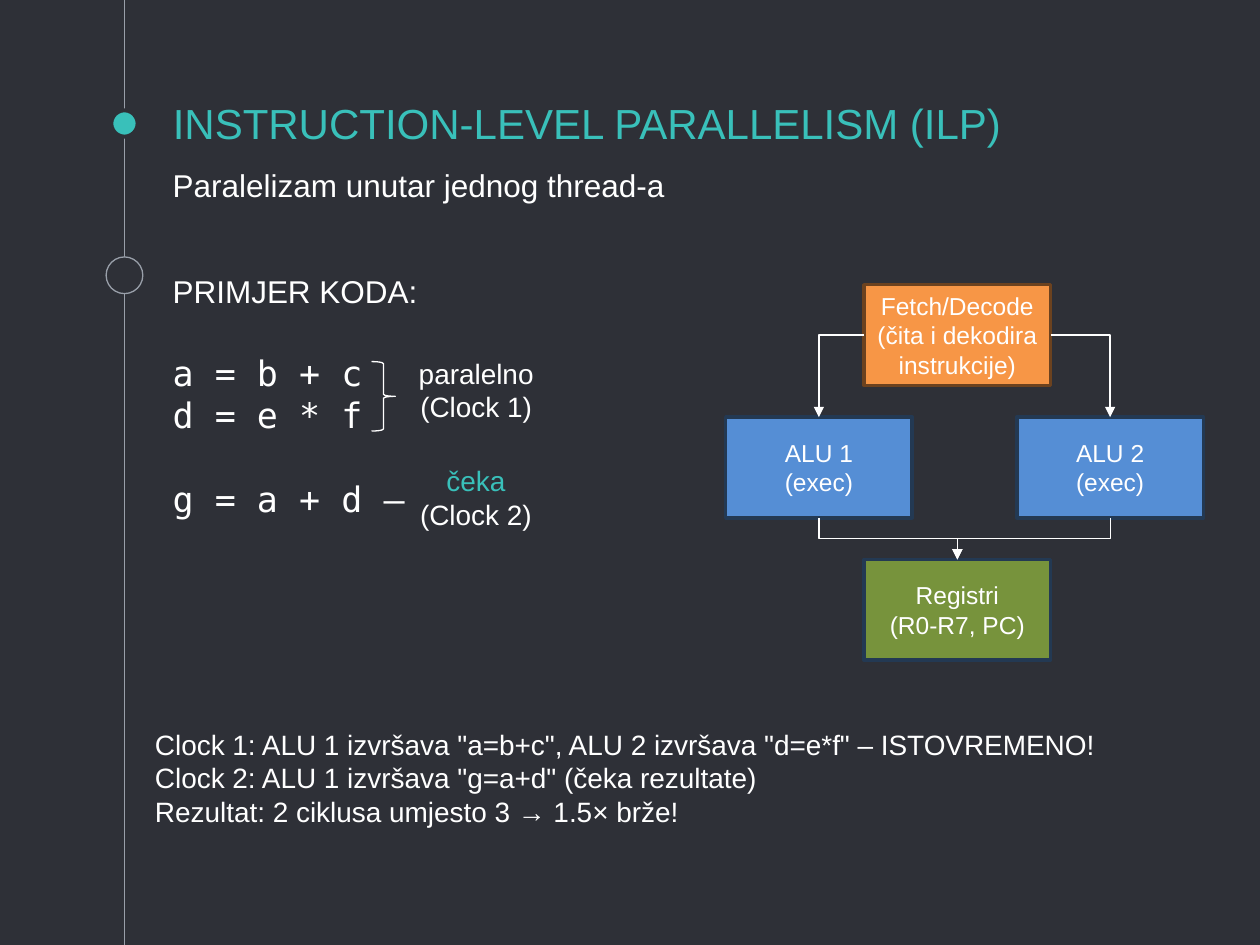
from dataclasses import dataclass

from lxml import etree
from pptx import Presentation
from pptx import util as u
from pptx.dml.color import RGBColor
from pptx.enum import shapes, text
from pptx.oxml.ns import qn

SHAPE = shapes.MSO_SHAPE
LINK = shapes.MSO_CONNECTOR
ALIGN = text.PP_ALIGN
ANCHOR = text.MSO_ANCHOR


@dataclass(frozen=True)
class Theme:
    back: str = "2E3037"
    teal: str = "39C0BA"
    grey: str = "999FA9"
    white: str = "FFFFFF"
    orange: str = "F79646"
    brown: str = "6C421F"
    blue: str = "558ED5"
    navy: str = "233953"
    green: str = "77933C"
    sans: str = "Arial"
    mono: str = "DejaVu Sans Mono"
    title: int = 24
    code: int = 20
    head: int = 18
    body: int = 16
    label: int = 14
    thin: float = 0.75
    edge: float = 2


def rgb(code):
    return RGBColor.from_string(code)


class Deck:
    def __init__(self, theme):
        self.theme = theme
        self.prs = Presentation()
        self.prs.slide_width, self.prs.slide_height = u.Cm(25.4), u.Cm(19.05)
        self.slide = self.prs.slides.add_slide(self.prs.slide_layouts[1])
        fill = self.slide.background.fill
        fill.solid()
        fill.fore_color.rgb = rgb(theme.back)

    def style(self, para, size, color=None, face=None, align=ALIGN.LEFT):
        para.alignment = align
        font = para.font
        font.size = u.Pt(size)
        font.name = face or self.theme.sans
        font.color.rgb = rgb(color or self.theme.white)

    def fill_text(self, frame, lines, size, align=ALIGN.LEFT):
        frame.text = "\n".join(lines)
        for para in frame.paragraphs:
            self.style(para, size, align=align)

    def place(self, item, box):
        item.left, item.top, item.width, item.height = map(u.Cm, box)

    def title(self, words, box):
        item = self.slide.shapes.title
        self.place(item, box)
        frame = item.text_frame
        frame.auto_size = text.MSO_AUTO_SIZE.NONE
        frame.vertical_anchor = ANCHOR.BOTTOM
        frame.margin_top = frame.margin_bottom = u.Cm(0.25)
        frame.text = words
        self.style(frame.paragraphs[0], self.theme.title, self.theme.teal)

    def list(self, lines, box):
        """Fill the body placeholder with plain lines, without bullets."""
        item = self.slide.placeholders[1]
        self.place(item, box)
        frame = item.text_frame
        frame.auto_size = text.MSO_AUTO_SIZE.NONE
        frame.text = "\n".join(lines)
        for para in frame.paragraphs:
            props = para._p.get_or_add_pPr()
            props.set("marL", "0")
            props.set("indent", "0")
            etree.SubElement(props, qn("a:buNone"))
            para.space_before = u.Pt(0)
            self.style(para, self.theme.body)

    def text(self, lines, box, size, align=ALIGN.LEFT, wrap=False):
        frame = self.slide.shapes.add_textbox(*map(u.Cm, box)).text_frame
        frame.word_wrap = wrap
        self.fill_text(frame, lines, size, align)
        return frame.paragraphs

    def shape(self, kind, box, fill, line, width):
        item = self.slide.shapes.add_shape(kind, *map(u.Cm, box))
        item.shadow.inherit = False
        if fill:
            item.fill.solid()
            item.fill.fore_color.rgb = rgb(fill)
        else:
            item.fill.background()
        item.line.color.rgb = rgb(line)
        item.line.width = u.Pt(width)
        return item

    def dot(self, x, y, size, fill, line, width):
        box = (x - size / 2, y - size / 2, size, size)
        self.shape(SHAPE.OVAL, box, fill, line, width)

    def block(self, lines, x, y, fill, line):
        item = self.shape(SHAPE.RECTANGLE, (x, y, 3.76, 2.03), fill, line,
                          self.theme.edge)
        item.text_frame.word_wrap = True
        item.text_frame.vertical_anchor = ANCHOR.MIDDLE
        self.fill_text(item.text_frame, lines, self.theme.label, ALIGN.CENTER)
        return item

    def line(self, kind, color, ends=(0, 0, 0, 0)):
        item = self.slide.shapes.add_connector(kind, *map(u.Cm, ends))
        item.line.color.rgb = rgb(color)
        item.line.width = u.Pt(self.theme.thin)
        etree.SubElement(item._element.spPr, qn("a:effectLst"))
        return item

    def arrow(self, start, side, end):
        """Join a side of start to the top of end with a bent arrow."""
        item = self.line(LINK.ELBOW, self.theme.white)
        item.begin_connect(start, side)
        item.end_connect(end, 0)
        props = item._element.spPr
        if side == 2:
            self.turn(item)
        else:
            props.find(qn("a:prstGeom")).set("prst", "bentConnector2")
        etree.SubElement(props.find(qn("a:ln")), qn("a:tailEnd"),
                         type="triangle")

    def turn(self, item):
        """Rotate an elbow a quarter turn so that it leaves downwards."""
        x, y = item.begin_x, item.begin_y
        wide, high = item.end_x - x, item.end_y - y
        mid, level = x + wide // 2, y + high // 2
        item.begin_x, item.begin_y = mid - high // 2, level + wide // 2
        item.end_x, item.end_y = mid + high // 2, level - wide // 2
        item._element.spPr.find(qn("a:xfrm")).set("rot", "5400000")


def main():
    t = Theme()
    deck = Deck(t)

    rail = 2.51
    deck.line(LINK.STRAIGHT, t.grey, (rail, 0, rail, 19.05))
    deck.dot(rail, 2.49, 0.53, t.teal, t.back, 2.25)
    deck.dot(rail, 5.55, 0.74, t.back, t.grey, t.thin)

    left = 3.23
    deck.title("INSTRUCTION-LEVEL PARALLELISM (ILP)", (left, 1.96, 19.05, 1.27))
    deck.text(["Paralelizam unutar jednog thread-a"],
              (left, 3.23, 10.5, 1.02), t.head)

    mid, top = 17.42, 8.41
    fetch = deck.block(["Fetch/Decode", "(čita i dekodira instrukcije)"],
                       mid, 5.74, t.orange, t.brown)
    units = [deck.block([f"ALU {n}", "(exec)"], x, top, t.blue, t.navy)
             for n, x in ((1, 14.63), (2, 20.5))]
    store = deck.block(["Registri", "(R0-R7, PC)"], mid, 11.28, t.green, t.navy)
    for unit, side in zip(units, (1, 3)):
        deck.arrow(fetch, side, unit)
        deck.arrow(unit, 2, store)

    code = deck.text(["PRIMJER KODA:", "a = b + c", "d = e * f", "g = a + d –"],
                     (left, 5.36, 7.04, 5.31), t.head, wrap=True)
    for para in code[1:]:
        deck.style(para, t.code, face=t.mono)
    for para in code[1::2]:
        para.space_before = u.Pt(24)

    deck.shape(SHAPE.RIGHT_BRACE, (7.49, 7.29, 0.48, 1.4), None, t.white, t.thin)
    deck.text(["paralelno", "(Clock 1)"], (8.18, 7.06, 2.84, 1.63),
              t.body, ALIGN.CENTER)
    wait = deck.text(["čeka", "(Clock 2)"], (8.2, 9.22, 2.79, 1.63),
                     t.body, ALIGN.CENTER)
    wait[0].font.color.rgb = rgb(t.teal)

    deck.list(['Clock 1: ALU 1 izvršava "a=b+c", ALU 2 izvršava "d=e*f" – ISTOVREMENO!',
               'Clock 2: ALU 1 izvršava "g=a+d" (čeka rezultate)',
               "Rezultat: 2 ciklusa umjesto 3 → 1.5× brže!"],
              (2.87, 14.53, 19.76, 2.31))

    deck.prs.save("out.pptx")


if __name__ == "__main__":
    main()
